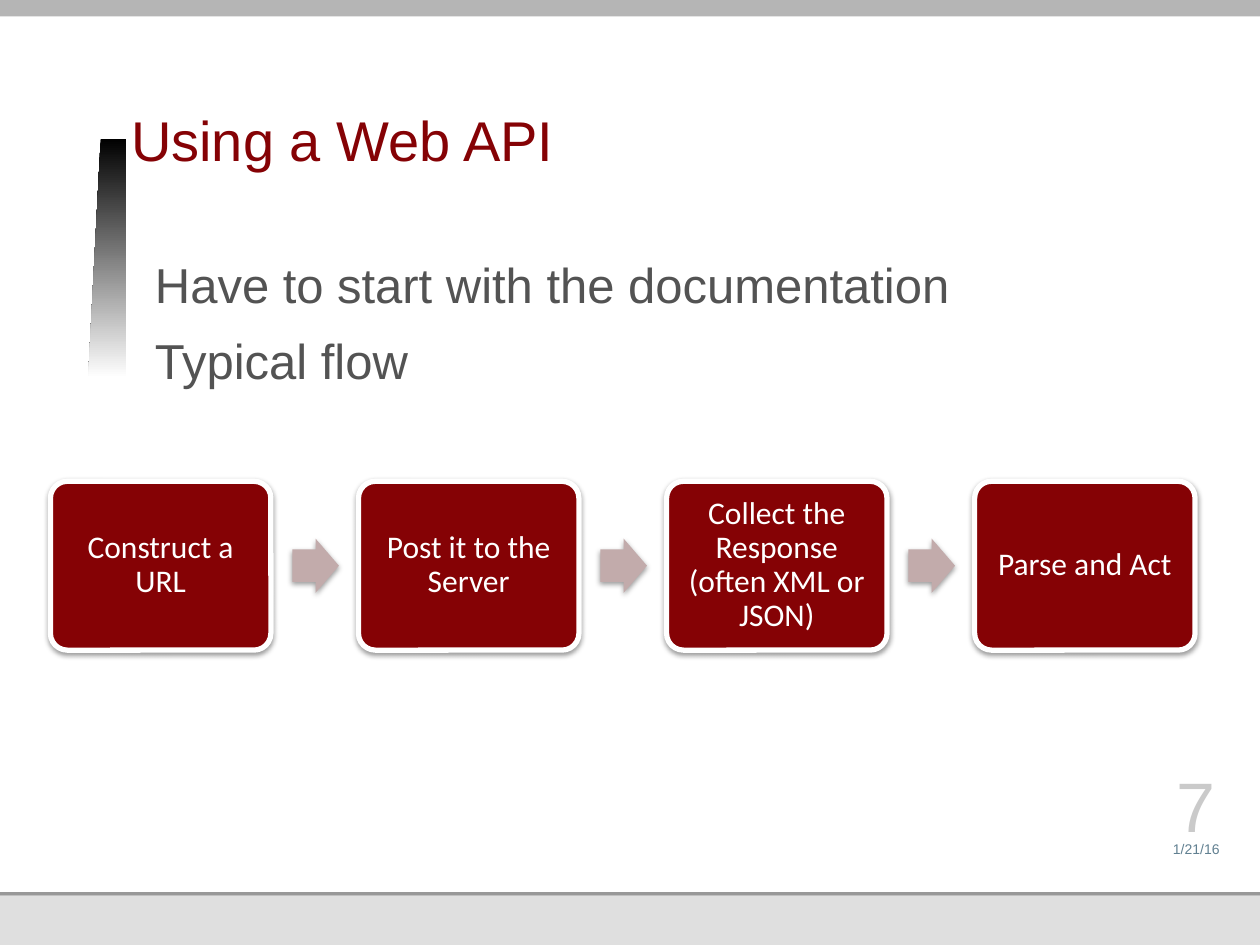
import pptx
import pptx.dml.color
import pptx.enum.shapes
import pptx.enum.text
import pptx.oxml
import pptx.oxml.ns
import pptx.util

RGB = pptx.dml.color.RGBColor
MAROON = RGB(0x85, 0x02, 0x05)
ROSE = RGB(0xC2, 0xAB, 0xAB)
WHITE = RGB(0xFF, 0xFF, 0xFF)
BLACK = RGB(0x00, 0x00, 0x00)
BODY_GRAY = RGB(0x53, 0x53, 0x53)
NUMBER_GRAY = RGB(0xCA, 0xCA, 0xCA)
DATE_BLUE = RGB(0x61, 0x80, 0x91)
TOP_GRAY = RGB(0xB5, 0xB5, 0xB5)
RULE_GRAY = RGB(0x98, 0x98, 0x98)
FOOT_GRAY = RGB(0xDF, 0xDF, 0xDF)

SHAPE = pptx.enum.shapes.MSO_SHAPE
ALIGN = pptx.enum.text.PP_ALIGN
ANCHOR = pptx.enum.text.MSO_ANCHOR
Pt = pptx.util.Pt

COLUMNS, ROWS = 100, 75
STEPS = [
    "Construct a URL",
    "Post it to the Server",
    "Collect the Response (often XML or JSON)",
    "Parse and Act",
]
SHADOW = (
    '<a:outerShdw %s blurRad="39400" dist="20300" dir="5400000" rotWithShape="0">'
    '<a:srgbClr val="000000"><a:alpha val="38000"/></a:srgbClr></a:outerShdw>'
    % pptx.oxml.ns.nsdecls("a")
)


class FlowSlide:
    heading_font = "Arial"
    step_font = "Calibri"

    def __init__(self, deck):
        self.cell = deck.slide_width / COLUMNS
        self.slide = deck.slides.add_slide(deck.slide_layouts[5])
        self.shapes = self.slide.shapes

    def grid(self, *units):
        return [round(unit * self.cell) for unit in units]

    def fill_text(self, box, lines, size, color, font=None, align=ALIGN.LEFT,
                  anchor=ANCHOR.TOP, insets=(0, 0, 0, 0), after=0, spacing=None):
        frame = box.text_frame
        frame.word_wrap = True
        frame.auto_size = pptx.enum.text.MSO_AUTO_SIZE.NONE
        frame.vertical_anchor = anchor
        (frame.margin_left, frame.margin_top,
         frame.margin_right, frame.margin_bottom) = self.grid(*insets)
        for index, line in enumerate(lines):
            para = frame.add_paragraph() if index else frame.paragraphs[0]
            para.alignment = align
            para.space_after = Pt(after)
            if spacing:
                para.line_spacing = spacing
            span = para.add_run()
            span.text = line
            span.font.name = font or self.heading_font
            span.font.size = Pt(size)
            span.font.color.rgb = color

    def title(self, place, text):
        box = self.shapes.title
        box.left, box.top, box.width, box.height = self.grid(*place)
        self.fill_text(box, [text], 32, MAROON, anchor=ANCHOR.BOTTOM,
                       insets=(0, 0, 0, 0.5), spacing=Pt(34))

    def text(self, place, lines, size, color, **style):
        box = self.shapes.add_textbox(*self.grid(*place))
        self.fill_text(box, lines, size, color, **style)

    def block(self, kind, place, color, shaded=False):
        shape = self.shapes.add_shape(kind, *self.grid(*place))
        shape.fill.solid()
        shape.fill.fore_color.rgb = color
        shape.line.fill.background()
        shape.shadow.inherit = False
        if shaded:
            effects = shape._element.spPr.find(pptx.oxml.ns.qn("a:effectLst"))
            effects.append(pptx.oxml.parse_xml(SHADOW))
        return shape

    def wedge(self, corners):
        builder = self.shapes.build_freeform(*corners[0], scale=self.cell)
        builder.add_line_segments(corners[1:], close=True)
        shape = builder.convert_to_shape()
        shape.shadow.inherit = False
        shape.line.fill.background()
        shape.fill.gradient()
        shape.fill.gradient_angle = 270
        for stop, color in zip(shape.fill.gradient_stops, (BLACK, WHITE)):
            stop.color.rgb = color

    def step(self, place, text):
        box = self.block(SHAPE.ROUNDED_RECTANGLE, place, MAROON, shaded=True)
        box.adjustments[0] = 0.1
        box.line.color.rgb = WHITE
        box.line.width = Pt(3)
        self.fill_text(box, [text], 18, WHITE, font=self.step_font,
                       align=ALIGN.CENTER, anchor=ANCHOR.MIDDLE,
                       insets=(0.7, 0.7, 0.7, 0.7), spacing=0.9)

    def arrow(self, place):
        shape = self.block(SHAPE.RIGHT_ARROW, place, ROSE, shaded=True)
        shape.adjustments[0] = 0.6
        shape.adjustments[1] = 0.5

    def flow(self, left, top, width, height, pitch, steps):
        arrow_width, arrow_height = 3.7, 4.3
        for index, text in enumerate(steps):
            x = left + index * pitch
            if index:
                self.arrow((x - pitch + width + 1.7,
                            top + (height - arrow_height) / 2,
                            arrow_width, arrow_height))
            self.step((x, top, width, height), text)


def main():
    deck = pptx.Presentation()
    deck.slide_width = pptx.util.Inches(10)
    deck.slide_height = pptx.util.Inches(7.5)
    page = FlowSlide(deck)
    page.block(SHAPE.RECTANGLE, (0, 0, COLUMNS, 1.3), TOP_GRAY)
    page.block(SHAPE.RECTANGLE, (0, 70.8, COLUMNS, 0.3), RULE_GRAY)
    page.block(SHAPE.RECTANGLE, (0, 71.1, COLUMNS, ROWS - 71.1), FOOT_GRAY)
    page.wedge([(6.7, 30.5), (7.6, 10.8), (9.5, 10.8), (10.4, 30.5)])
    page.title((10.4, 3.4, 68.7, 10.8), "Using a Web API")
    page.text((12.3, 20.2, 77.1, 47.9),
              ["Have to start with the documentation", "Typical flow"],
              28, BODY_GRAY, after=10)
    corner = {"align": ALIGN.CENTER, "anchor": ANCHOR.BOTTOM}
    page.text((91.3, 65.8, 7.3, 2.2), ["1/21/16"], 8, DATE_BLUE, **corner)
    page.text((91.3, 61.6, 7.3, 5.6), ["7"], 40, NUMBER_GRAY, **corner)
    page.flow(4, 38.2, 17.5, 13.4, 24.45, STEPS)
    deck.save("out.pptx")


if __name__ == "__main__":
    main()
